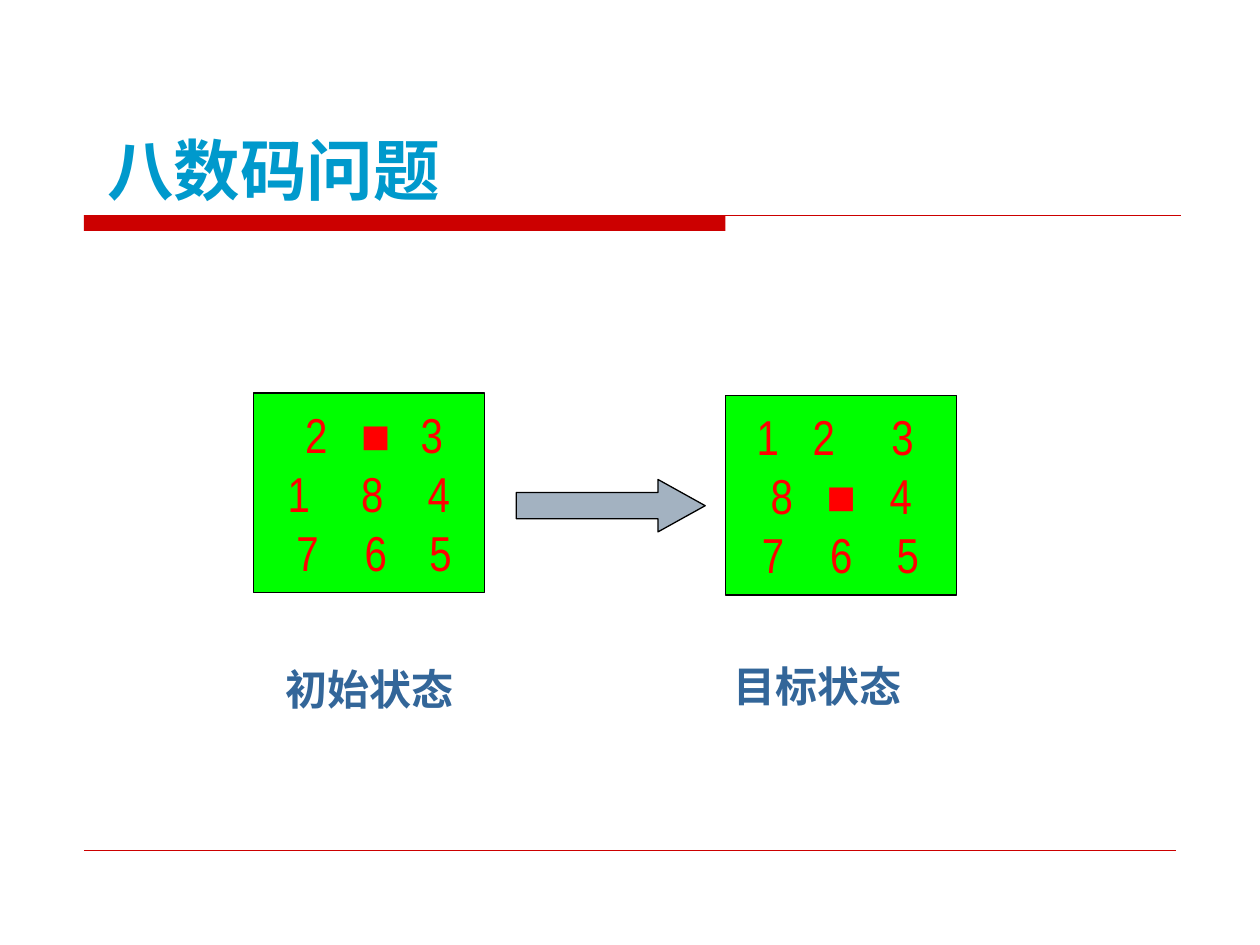
from pptx import Presentation
from pptx.util import Pt
from pptx.dml.color import RGBColor
from pptx.enum.shapes import MSO_SHAPE as Kind, MSO_CONNECTOR as Link
from pptx.enum.text import MSO_ANCHOR as Anchor, PP_ALIGN as Align
from pptx.oxml.ns import qn
from lxml.etree import SubElement as Sub


def paint(form, tone):
    form.rgb = RGBColor.from_string(tone)


def write(frame, text, size, tone, face, bold=False, align=Align.LEFT,
          anchor=Anchor.TOP, inset=0, stops=()):
    frame.word_wrap = True
    frame.vertical_anchor = anchor
    frame.margin_left = frame.margin_right = Pt(inset)
    frame.margin_top = frame.margin_bottom = Pt(inset / 2)
    frame.text = text
    for i, para in enumerate(frame.paragraphs):
        para.alignment = align
        if stops:
            tabs = Sub(para._p.get_or_add_pPr(), qn("a:tabLst"))
            for x in stops[i]:
                Sub(tabs, qn("a:tab"), pos=str(Pt(x)), algn="ctr")
        for run in para.runs:
            font = run.font
            font.size, font.name, font.bold = Pt(size), face, bold
            paint(font.color, tone)


deck = Presentation()
deck.slide_width, deck.slide_height = Pt(720), Pt(540)
slide = deck.slides.add_slide(deck.slide_layouts[5])
shapes = slide.shapes

title = shapes.title
title.left, title.top, title.width, title.height = Pt(54), Pt(54.7), Pt(618), Pt(68.4)
write(title.text_frame, "八数码问题", 38, "0099CC", "DejaVu Sans", bold=True,
      anchor=Anchor.BOTTOM, inset=7.2)

bar = shapes.add_shape(Kind.RECTANGLE, Pt(48), Pt(123), Pt(366.5), Pt(9))
bar.shadow.inherit = False
bar.fill.solid()
paint(bar.fill.fore_color, "CC0000")
bar.line.fill.background()

for y, end, wide in [(123, 675, 0.75), (486, 672, 0.25)]:
    rule = shapes.add_connector(Link.STRAIGHT, Pt(48), Pt(y), Pt(end), Pt(y))
    rule.line.width = Pt(wide)
    paint(rule.line.color, "CC0000")
    Sub(rule._element.spPr, qn("a:effectLst"))

boards = [
    (144.7, 224.6, ["2■3", "184", "765"],
     [(36, 70, 102), (26, 68, 106), (31, 70, 107)], "初始状态", 157, 379.4),
    (414.7, 226, ["123", "8■4", "765"],
     [(24, 56, 101), (32, 66, 100), (27, 66, 104)], "目标状态", 413.3, 377.3),
]
for x, y, rows, stops, name, left, top in boards:
    board = shapes.add_shape(Kind.RECTANGLE, Pt(x), Pt(y), Pt(132), Pt(114))
    board.shadow.inherit = False
    board.fill.solid()
    paint(board.fill.fore_color, "00FF00")
    board.line.width = Pt(0.75)
    paint(board.line.color, "000000")
    text = "\n".join("\t" + "\t".join(row) for row in rows)
    write(board.text_frame, text, 28, "FF0000", "Arial Narrow",
          anchor=Anchor.MIDDLE, stops=stops)
    label = shapes.add_textbox(Pt(left), Pt(top), Pt(108), Pt(29))
    write(label.text_frame, name, 24, "336699", "Arial", bold=True, align=Align.CENTER)

arrow = shapes.add_shape(Kind.RIGHT_ARROW, Pt(295), Pt(274), Pt(108), Pt(30))
arrow.shadow.inherit = False
arrow.adjustments[0], arrow.adjustments[1] = 0.5, 0.9
arrow.fill.solid()
paint(arrow.fill.fore_color, "A3B2C1")
arrow.line.width = Pt(0.75)
paint(arrow.line.color, "000000")

deck.save("out.pptx")
